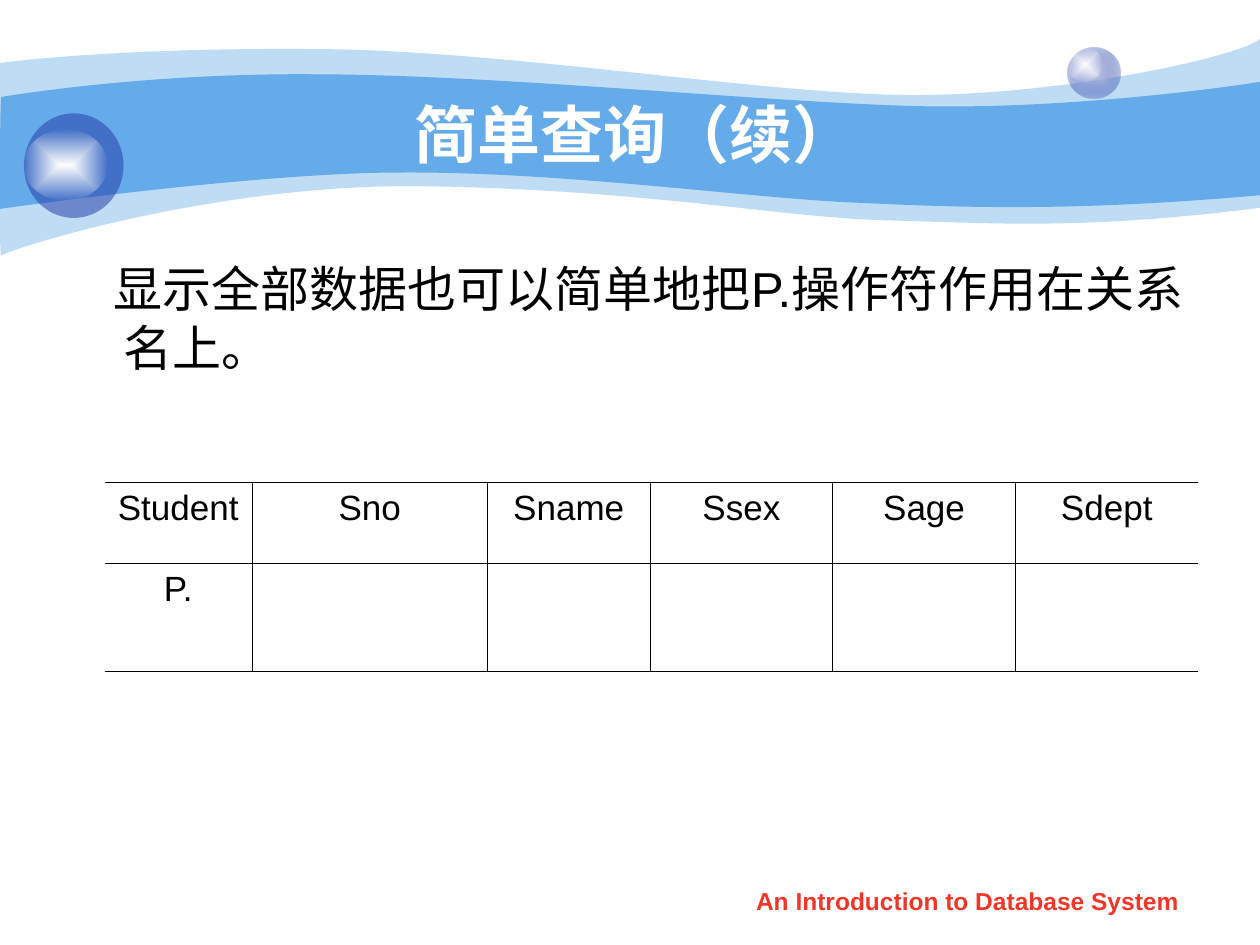
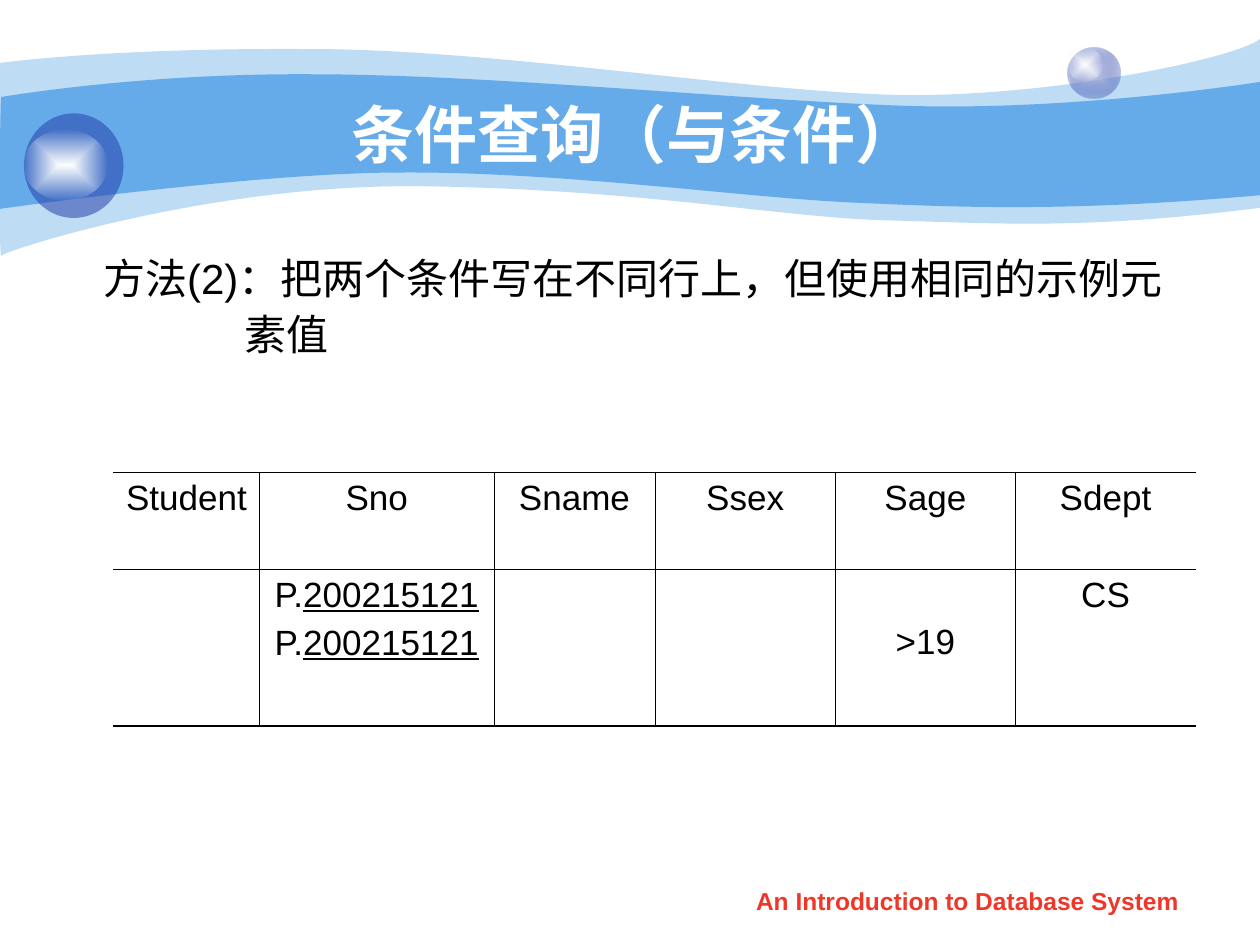
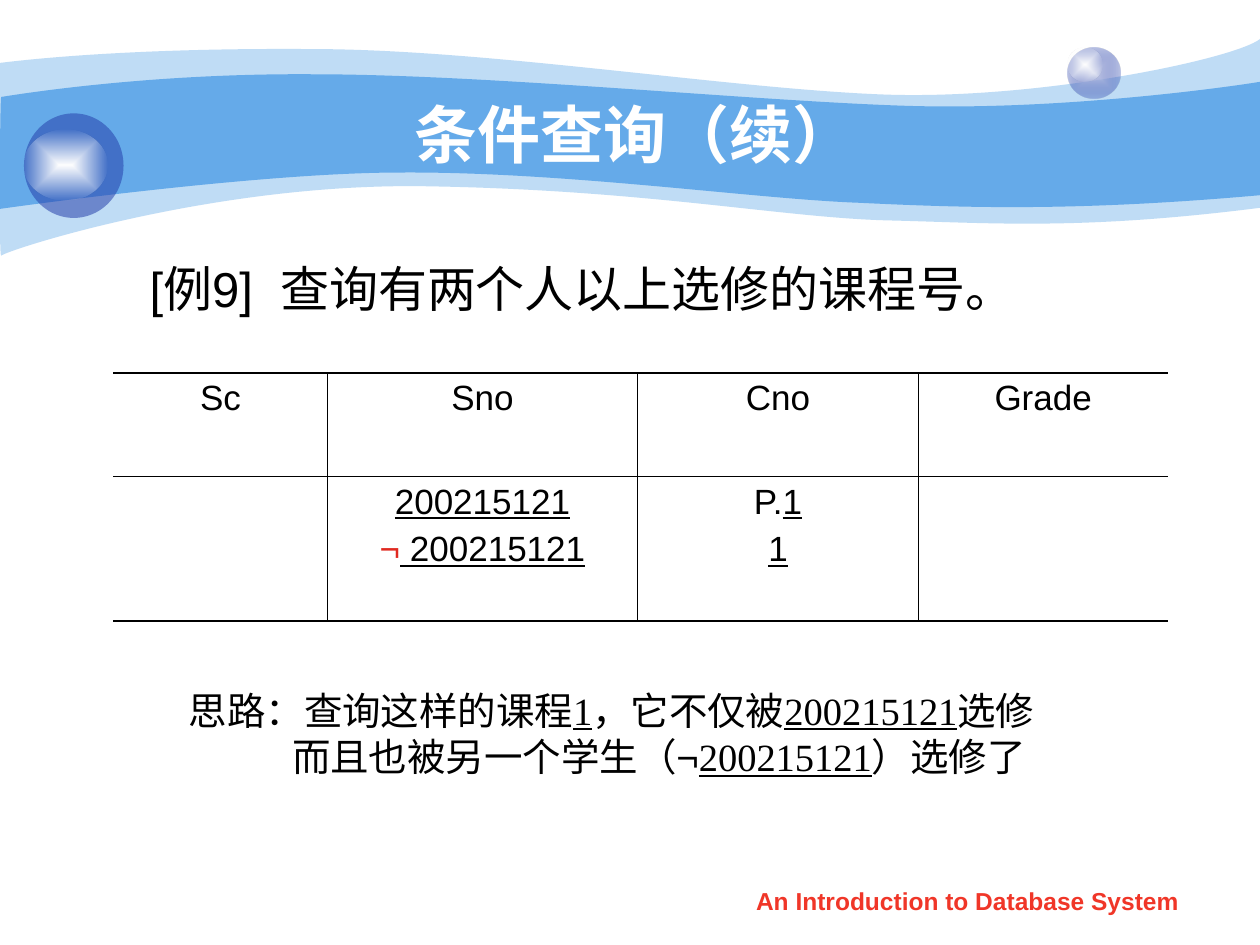
from dataclasses import dataclass
from typing import Optional

from lxml.etree import SubElement
from pptx import Presentation
from pptx.dml.color import RGBColor
from pptx.enum.lang import MSO_LANGUAGE_ID
from pptx.enum.shapes import MSO_SHAPE
from pptx.enum.text import MSO_ANCHOR, PP_ALIGN
from pptx.oxml import parse_xml
from pptx.oxml.ns import nsdecls, qn
from pptx.util import Inches, Pt

COLORS = {
    "band": "65AAE9",
    "orb": "233DA9",
    "orb_light": "C6CCE8",
    "glow": "FFFFFF",
    "glow_edge": "FEFEFE",
    "white": "FFFFFF",
    "black": "000000",
    "footer": "F03628",
    "negation": "E02920",
}
SANS, SERIF = "Arial", "Times New Roman"
THICK, THIN = 1.08, 0.45
FOOTER = "An Introduction to Database System"


@dataclass
class Span:
    text: str
    underline: bool = False
    color: str = "black"
    font: Optional[str] = None


@dataclass
class Para:
    spans: list[Span]
    margin: float = 0
    indent: float = 0
    align: PP_ALIGN = PP_ALIGN.LEFT
    before: float = 0
    line_spacing: Optional[float] = None


@dataclass
class TextStyle:
    size: float
    font: str = SANS
    bold: bool = False


@dataclass
class TextBlock:
    at: tuple[float, float, float, float]
    style: TextStyle
    paras: list[Para]
    anchor: MSO_ANCHOR = MSO_ANCHOR.TOP


@dataclass
class Wave:
    alpha: int
    start: tuple[float, float]
    segments: list[tuple]  # one point is a line, three points are a Bezier curve


@dataclass
class Orb:
    at: tuple[float, float, float, float]
    stops: list[tuple[str, int]]  # colour and opacity, centre to edge


@dataclass
class QueryTable:
    left: float
    top: float
    columns: list[float]
    rows: list[float]
    header: list[str]
    entries: dict[int, list[list[Span]]]  # column to lines
    lowered: tuple[int, ...] = ()  # columns whose entry stands on line two


@dataclass
class QueryPage:
    title: str
    blocks: list[TextBlock]
    table: QueryTable


# Shared decoration
WAVES = [
    Wave(41, (0, 0.5), [
        ((0.24, 0.47), (1.07, 0.38), (2.47, 0.39)),
        ((3.86, 0.39), (5.75, 0.7), (6.99, 0.75)),
        ((8.22, 0.8), (9.8, 0.47), (10, 0.31)),
        ((10, 1.65),),
        ((8.58, 1.83), (7.87, 1.77), (7.05, 1.75)),
        ((6.22, 1.73), (5.15, 1.51), (3.43, 1.48)),
        ((1.72, 1.44), (0.04, 1.99), (0.01, 2.03)),
        ((-0.01, 2.08), (0, 0.75), (0, 0.5)),
    ]),
    Wave(100, (0.01, 0.77), [
        ((0.02, 0.77), (1.1, 0.58), (2.48, 0.59)),
        ((3.86, 0.59), (5.95, 0.8), (7.18, 0.84)),
        ((8.41, 0.88), (9.76, 0.69), (10, 0.65)),
        ((10, 1.55),),
        ((8.53, 1.68), (7.65, 1.65), (6.82, 1.61)),
        ((5.99, 1.58), (4.47, 1.36), (3.17, 1.37)),
        ((2.03, 1.37), (-0.02, 1.66), (-0.01, 1.66)),
        ((0, 1.66), (0, 0.77), (0.01, 0.77)),
    ]),
]
GLOW = [("glow", 100), ("glow_edge", 0)]
ORBS = [
    Orb((8.47, 0.38, 0.42, 0.4), [("orb_light", 100), ("orb", 31)]),
    Orb((8.47, 0.38, 0.28, 0.27), GLOW),
    Orb((0.19, 0.9, 0.79, 0.83), [("orb", 53)]),
    Orb((0.19, 1.03, 0.66, 0.56), GLOW),
]

# Text styles
TITLE_STYLE = TextStyle(36, bold=True)
FOOTER_STYLE = TextStyle(14, bold=True)
LARGE_BODY = TextStyle(28)
BODY = TextStyle(24)
CELL_STYLE = TextStyle(20)
NOTE_STYLE = TextStyle(22, SERIF)

# Page content
STUDENT_HEADER = ["Student", "Sno", "Sname", "Ssex", "Sage", "Sdept"]
STUDENT_ID = Span("200215121", underline=True)
COURSE_ID = Span("1", underline=True)
PRINT = Span("P.")

PAGES = [
    QueryPage(
        "简单查询（续）",
        [TextBlock((0.5, 2, 8.99, 1.59), LARGE_BODY, [
            Para([Span("显示全部数据也可以简单地把P.操作符作用在关系名上。")],
                 0.38, -0.08, PP_ALIGN.JUSTIFY),
        ])],
        QueryTable(0.83, 3.83, [1.17, 1.87, 1.29] + [1.45] * 3, [0.64, 0.86],
                   STUDENT_HEADER, {0: [[PRINT]]}),
    ),
    QueryPage(
        "条件查询（与条件）",
        [TextBlock((0.5, 2, 9.15, 1.91), BODY, [
            Para([Span("方法(2)：把两个条件写在不同行上，但使用相同的示例元")],
                 0.22, 0, PP_ALIGN.JUSTIFY, line_spacing=0.9),
            Para([Span("素值")], 1.34, 0, PP_ALIGN.JUSTIFY, 6, 0.9),
        ])],
        QueryTable(0.9, 3.75, [1.16, 1.86, 1.28] + [1.43] * 3, [0.77, 1.24],
                   STUDENT_HEADER,
                   {1: [[PRINT, STUDENT_ID]] * 2, 4: [[Span(">19")]], 5: [[Span("CS")]]},
                   lowered=(4,)),
    ),
    QueryPage(
        "条件查询（续）",
        [
            TextBlock((0.5, 2, 9.07, 1.67), LARGE_BODY, [
                Para([Span("[例9]  查询有两个人以上选修的课程号。")],
                     0.9, -0.31, PP_ALIGN.JUSTIFY),
            ]),
            TextBlock((0.9, 5.4, 8.82, 0.84), NOTE_STYLE, [
                Para([Span("思路：查询这样的课程"), COURSE_ID, Span("，它不仅被"),
                      STUDENT_ID, Span("选修")], 0.5),
                Para([Span("而且也被另一个学生（"), Span("¬", font=SANS),
                      STUDENT_ID, Span("）选修了")], 1.32),
            ]),
        ],
        QueryTable(0.9, 2.96, [1.7, 2.46, 2.23, 1.98], [0.82, 1.15],
                   ["Sc", "Sno", "Cno", "Grade"],
                   {1: [[STUDENT_ID], [Span("¬", color="negation"),
                                       Span(" 200215121", underline=True)]],
                    2: [[PRINT, COURSE_ID], [COURSE_ID]]}),
    ),
]


def color_xml(color: str, alpha: int) -> str:
    opacity = f'<a:alpha val="{alpha * 1000}"/>' if alpha < 100 else ""
    return f'<a:srgbClr val="{COLORS[color]}">{opacity}</a:srgbClr>'


def paint(shape, stops: list[tuple[str, int]]) -> None:
    """Fill with one translucent colour or a two-stop rectangular gradient."""
    shape.shadow.inherit = False
    shape.line.fill.background()
    shape.fill.background()
    if len(stops) == 1:
        xml = f'<a:solidFill {nsdecls("a")}>{color_xml(*stops[0])}</a:solidFill>'
    else:
        marks = "".join(f'<a:gs pos="{place * 100000}">{color_xml(*stop)}</a:gs>'
                        for place, stop in enumerate(stops))
        xml = (f'<a:gradFill {nsdecls("a")} rotWithShape="1"><a:gsLst>{marks}</a:gsLst>'
               '<a:path path="rect"><a:fillToRect l="50000" t="50000" r="50000" '
               'b="50000"/></a:path></a:gradFill>')
    properties = shape.element.spPr
    empty_fill = properties.find(qn("a:noFill"))
    properties.replace(empty_fill, parse_xml(xml))


def draw_wave(page, wave: Wave) -> None:
    """Lay out every control point, then join each group of three into a curve."""
    points = [(Inches(x), Inches(y)) for segment in wave.segments for x, y in segment]
    builder = page.shapes.build_freeform(*map(Inches, wave.start))
    builder.add_line_segments(points, close=True)
    shape = builder.convert_to_shape()
    lines = iter(list(shape.element.iter(qn("a:lnTo"))))
    for segment in wave.segments:
        group = [next(lines) for _ in segment]
        if len(group) == 3:
            outline = group[0].getparent()
            curve = SubElement(outline, qn("a:cubicBezTo"))
            outline.replace(group[0], curve)
            for line in group:
                curve.append(line[0])
            for line in group[1:]:
                outline.remove(line)
    paint(shape, [("band", wave.alpha)])


def draw_decoration(page) -> None:
    for wave in WAVES:
        draw_wave(page, wave)
    for orb in ORBS:
        paint(page.shapes.add_shape(MSO_SHAPE.OVAL, *map(Inches, orb.at)), orb.stops)


def write_paras(frame, paras: list[Para], style: TextStyle) -> None:
    for index, para in enumerate(paras):
        line = frame.add_paragraph() if index else frame.paragraphs[0]
        properties = line._p.get_or_add_pPr()
        properties.set("marL", str(Inches(para.margin)))
        properties.set("indent", str(Inches(para.indent)))
        line.alignment = para.align
        line.space_before = Pt(para.before)
        if para.line_spacing:
            line.line_spacing = para.line_spacing
        for span in para.spans:
            run = line.add_run()
            run.text = span.text
            run.font.name = span.font or style.font
            run.font.size = Pt(style.size)
            run.font.bold = style.bold
            run.font.underline = span.underline
            run.font.language_id = MSO_LANGUAGE_ID.SIMPLIFIED_CHINESE
            run.font.color.rgb = RGBColor.from_string(COLORS[span.color])


def draw_text(page, block: TextBlock) -> None:
    box = page.shapes.add_textbox(*map(Inches, block.at))
    box.text_frame.word_wrap = True
    box.text_frame.vertical_anchor = block.anchor
    write_paras(box.text_frame, block.paras, block.style)


def centered(text: str, color: str) -> list[Para]:
    return [Para([Span(text, color=color)], align=PP_ALIGN.CENTER)]


def set_borders(cell, widths: dict[str, float]) -> None:
    """Set the four borders; a width of zero hides one."""
    properties = cell._tc.get_or_add_tcPr()
    for place, side in enumerate("LRTB"):
        width = widths[side]
        stroke = (f'<a:solidFill><a:srgbClr val="{COLORS["black"]}"/></a:solidFill>'
                  if width else "<a:noFill/>")
        properties.insert(place, parse_xml(
            f'<a:ln{side} {nsdecls("a")} w="{Pt(width)}">{stroke}</a:ln{side}>'))


def draw_table(page, query: QueryTable) -> None:
    columns, rows = len(query.columns), len(query.rows)
    table = page.shapes.add_table(
        rows, columns, Inches(query.left), Inches(query.top),
        Inches(sum(query.columns)), Inches(sum(query.rows))).table
    table.first_row = table.horz_banding = False
    for column, width in zip(table.columns, query.columns):
        column.width = Inches(width)
    for row, height in zip(table.rows, query.rows):
        row.height = Inches(height)

    for row in range(rows):
        for column in range(columns):
            cell = table.cell(row, column)
            cell.fill.background()
            set_borders(cell, {
                "L": THIN if column else 0,
                "R": THIN if column < columns - 1 else 0,
                "T": THIN if row else THICK,
                "B": THIN if row < rows - 1 else THICK,
            })
            if row == 0:
                lines = [[Span(query.header[column])]]
            else:
                lines = query.entries.get(column, [])
                if column in query.lowered:
                    cell.margin_top = Inches(0.42)
            paras = [Para(spans, align=PP_ALIGN.CENTER, before=5 if index else 0)
                     for index, spans in enumerate(lines)]
            write_paras(cell.text_frame, paras, CELL_STYLE)


def main() -> None:
    deck = Presentation()
    deck.slide_width, deck.slide_height = Inches(10), Inches(7.5)
    for content in PAGES:
        page = deck.slides.add_slide(deck.slide_layouts[6])
        draw_decoration(page)
        draw_text(page, TextBlock((1, 0.75, 8.08, 0.62), TITLE_STYLE,
                                  centered(content.title, "white"), MSO_ANCHOR.MIDDLE))
        for block in content.blocks:
            draw_text(page, block)
        draw_table(page, content.table)
        draw_text(page, TextBlock((5.71, 6.98, 3.94, 0.35), FOOTER_STYLE,
                                  centered(FOOTER, "footer")))
    deck.save("out.pptx")


if __name__ == "__main__":
    main()
